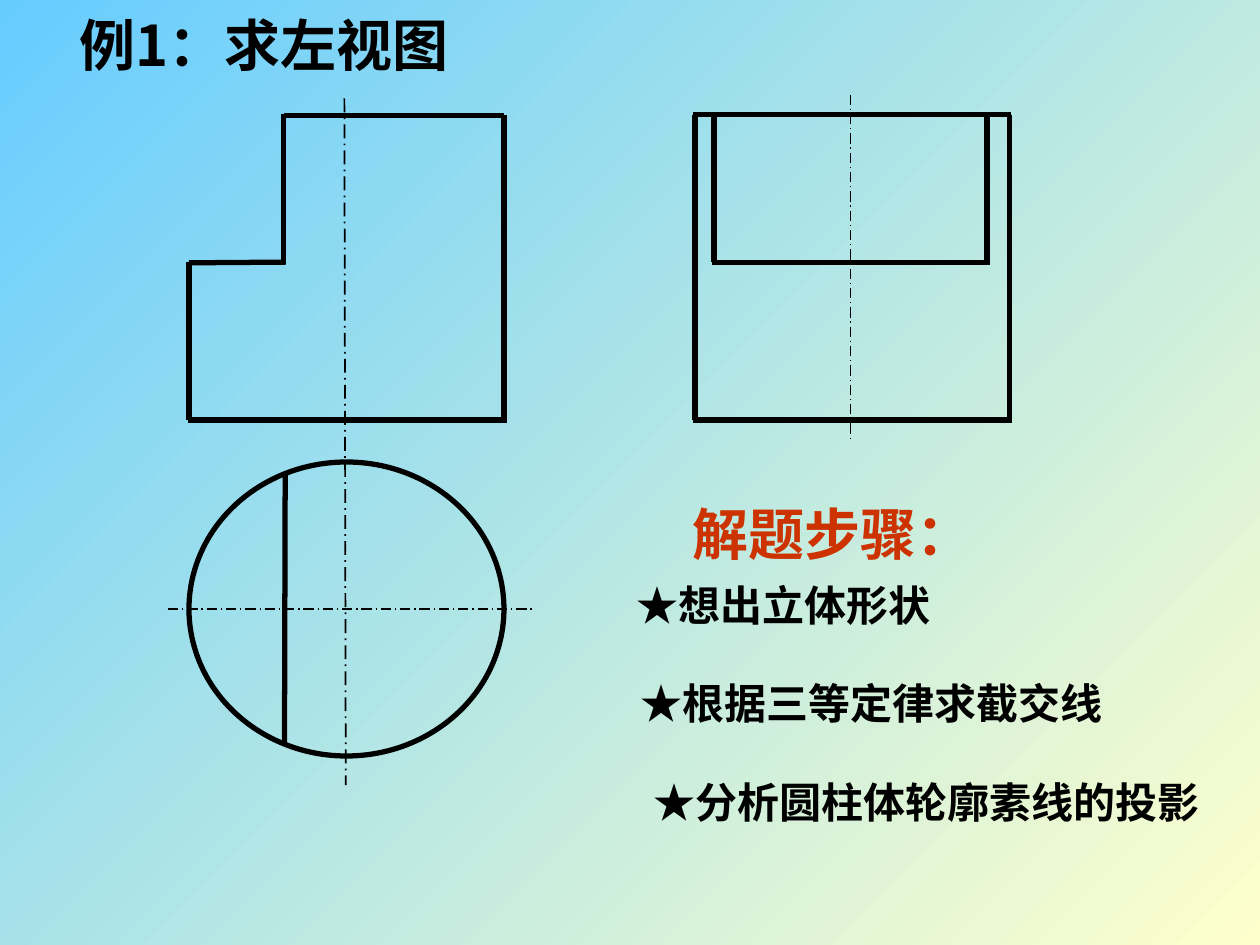
import lxml.etree
import pptx
import pptx.dml.color
import pptx.enum.dml
import pptx.enum.shapes
import pptx.enum.text
import pptx.oxml.ns
import pptx.util

Pt = pptx.util.Pt
FONT = "Noto Sans CJK SC"
BLACK = "000000"
THICK, THIN, HAIR = 3, 1, 0.75


def colour(value):
    return pptx.dml.color.RGBColor.from_string(value)


def apply(target, values):
    for name, value in values.items():
        setattr(target, name, value)


class Drawing:
    def __init__(self, page):
        self.page = page
        self.shapes = page.shapes
        self.insets = {
            "margin_left": Pt(7.2),
            "margin_right": Pt(7.2),
            "margin_top": Pt(3.6),
            "margin_bottom": Pt(3.6),
            "auto_size": pptx.enum.text.MSO_AUTO_SIZE.NONE,
        }

    def background(self, first, last):
        fill = self.page.background.fill
        fill.gradient()
        fill.gradient_angle = 315
        for stop, value, position in zip(fill.gradient_stops, (first, last), (0, 1)):
            stop.color.rgb = colour(value)
            stop.position = position

    def stroke(self, line, width, dashed=False):
        line.color.rgb = colour(BLACK)
        line.width = Pt(width)
        if dashed:
            line.dash_style = pptx.enum.dml.MSO_LINE.LONG_DASH_DOT

    def line(self, left, top, right, bottom, width=THICK, dashed=False):
        connector = self.shapes.add_connector(
            pptx.enum.shapes.MSO_CONNECTOR.STRAIGHT,
            Pt(left), Pt(top), Pt(right), Pt(bottom))
        self.stroke(connector.line, width, dashed)
        lxml.etree.SubElement(connector._element.spPr, pptx.oxml.ns.qn("a:effectLst"))

    def freeform(self, start, end, width=THICK, dashed=False):
        builder = self.shapes.build_freeform(Pt(start[0]), Pt(start[1]))
        builder.add_line_segments([(Pt(end[0]), Pt(end[1]))], close=False)
        self.outline(builder.convert_to_shape(), width, dashed)

    def ellipse(self, left, top, width, height):
        shape = self.shapes.add_shape(
            pptx.enum.shapes.MSO_SHAPE.OVAL, Pt(left), Pt(top), Pt(width), Pt(height))
        self.outline(shape, THICK)

    def outline(self, shape, width, dashed=False):
        shape.shadow.inherit = False
        shape.fill.background()
        self.stroke(shape.line, width, dashed)

    def text(self, words, left, top, width, height, size=24, value=BLACK,
             centred=True, wrap=True):
        box = self.shapes.add_textbox(Pt(left), Pt(top), Pt(width), Pt(height))
        frame = box.text_frame
        apply(frame, self.insets)
        frame.word_wrap = wrap
        anchors = pptx.enum.text.MSO_ANCHOR
        frame.vertical_anchor = anchors.MIDDLE if centred else anchors.TOP
        para = frame.paragraphs[0]
        aligns = pptx.enum.text.PP_ALIGN
        para.alignment = aligns.CENTER if centred else aligns.LEFT
        span = para.add_run()
        span.text = words
        apply(span.font, {"size": Pt(size), "bold": True, "name": FONT})
        span.font.color.rgb = colour(value)
        lxml.etree.SubElement(
            span._r.get_or_add_rPr(), pptx.oxml.ns.qn("a:ea"), typeface=FONT)


def front_and_top_views(drawing):
    drawing.freeform((163, 270.9), (162.6, 425.2))
    drawing.ellipse(108, 264, 180, 168)
    drawing.line(107.3, 240, 289.5, 240)
    drawing.line(288, 66, 288, 241)
    drawing.line(162, 65, 162, 151)
    drawing.freeform((163.2, 149.8), (108, 150.2))
    drawing.line(108, 150, 108, 240)
    drawing.line(162, 66, 288, 66)
    drawing.freeform((196.8, 56.2), (197.6, 448.6), THIN, True)
    drawing.line(96, 348, 306, 348, HAIR, True)


def left_view(drawing):
    top, bottom = 65.6, 240
    drawing.line(406.8, 150, 566, 150)
    for y in (top, bottom):
        drawing.line(396.7, y, 576.7, y, THIN)
    for x in (396.7, 576.7):
        drawing.line(x, top, x, bottom, THIN)
    drawing.line(486, 54, 486, 250.5, HAIR, True)
    for y, right in ((top, 577.7), (bottom, 578.3)):
        drawing.line(396.2, y, right, y)
    for x in (397.2, 576.7):
        drawing.line(x, top, x, bottom)
    for x in (408, 564):
        drawing.line(x, 150, x, 66)


def main():
    deck = pptx.Presentation()
    deck.slide_width, deck.slide_height = Pt(720), Pt(540)
    drawing = Drawing(deck.slides.add_slide(deck.slide_layouts[6]))
    drawing.background("66CCFF", "FFFFCC")
    drawing.text("例1：求左视图", 38.2, 2.2, 240.4, 46, size=32, centred=False)
    front_and_top_views(drawing)
    left_view(drawing)
    for words, left, top, width in (
        ("★分析圆柱体轮廓素线的投影", 360, 440, 338.4),
        ("★想出立体形状", 338.4, 327.6, 218.2),
        ("★根据三等定律求截交线", 339, 383.8, 317.5),
    ):
        drawing.text(words, left, top, width, 36)
    drawing.text("解题步骤：", 388.8, 281.5, 174.2, 46, size=32, value="CC3300", wrap=False)
    deck.save("out.pptx")


if __name__ == "__main__":
    main()
